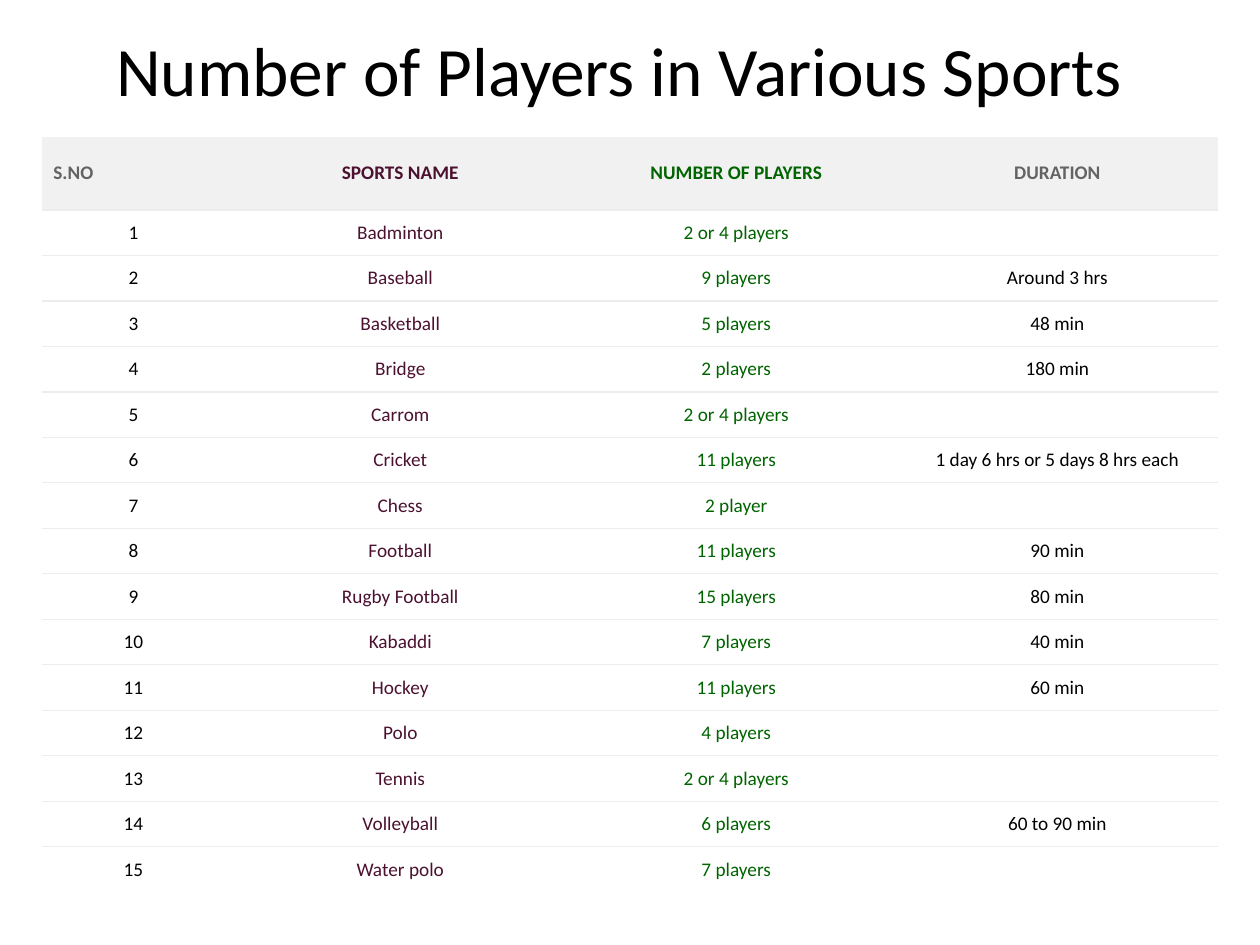
from dataclasses import dataclass

from lxml import etree
from pptx import Presentation
from pptx.dml.color import RGBColor
from pptx.enum import text
from pptx.oxml import ns
from pptx.util import Pt


@dataclass(frozen=True)
class Theme:
    font: str = "Calibri"
    title_size: float = 39.6
    table_size: float = 11
    black: str = "000000"
    grey: str = "636363"
    plum: str = "4C1130"
    green: str = "006400"
    rule: str = "EDEDED"
    header_fill: str = "F1F1F1"
    row_fill: str = "FFFFFF"


theme = Theme()


def format_run(run, size, color, bold=False):
    run.font.name = theme.font
    run.font.size = Pt(size)
    run.font.bold = bold
    run.font.color.rgb = RGBColor.from_string(color)


def set_borders(cell, sides_with_rule):
    """Rule the given sides (letters of LRTB) and clear the others."""
    properties = cell._tc.get_or_add_tcPr()
    for side in "LRTB":
        line = etree.SubElement(properties, ns.qn(f"a:ln{side}"), w=str(Pt(0.75)))
        if side in sides_with_rule:
            fill = etree.SubElement(line, ns.qn("a:solidFill"))
            etree.SubElement(fill, ns.qn("a:srgbClr"), val=theme.rule)
        else:
            etree.SubElement(line, ns.qn("a:noFill"))


headings = ("S.NO", "SPORTS NAME", "NUMBER OF PLAYERS", "DURATION")
sports = [
    ("Badminton", "2 or 4 players", ""),
    ("Baseball", "9 players", "Around 3 hrs"),
    ("Basketball", "5 players", "48 min"),
    ("Bridge", "2 players", "180 min"),
    ("Carrom", "2 or 4 players", ""),
    ("Cricket", "11 players", "1 day 6 hrs or 5 days 8 hrs each"),
    ("Chess", "2 player", ""),
    ("Football", "11 players", "90 min"),
    ("Rugby Football", "15 players", "80 min"),
    ("Kabaddi", "7 players", "40 min"),
    ("Hockey", "11 players", "60 min"),
    ("Polo", "4 players", ""),
    ("Tennis", "2 or 4 players", ""),
    ("Volleyball", "6 players", "60 to 90 min"),
    ("Water polo", "7 players", ""),
]
rows = [headings] + [(str(number), *sport) for number, sport in enumerate(sports, 1)]
column_widths = (104.5, 200.5, 183.5, 183.5)
header_height, row_height = 42, 26
heading_colors = (theme.grey, theme.plum, theme.green, theme.grey)
body_colors = (theme.black, theme.plum, theme.green, theme.black)

prs = Presentation()
prs.slide_width, prs.slide_height = Pt(720), Pt(540)
slide = prs.slides.add_slide(prs.slide_layouts[6])

# Title
title = slide.shapes.add_textbox(Pt(36), Pt(15.5), Pt(636), Pt(84)).text_frame
title.word_wrap = True
title.margin_top = title.margin_bottom = 0
title.vertical_anchor = text.MSO_ANCHOR.TOP
title.text = "Number of Players in Various Sports"
title.paragraphs[0].alignment = text.PP_ALIGN.CENTER
format_run(title.paragraphs[0].runs[0], theme.title_size, theme.black)

# Sports table
table = slide.shapes.add_table(
    len(rows), len(headings), Pt(24), Pt(78), Pt(sum(column_widths)),
    Pt(header_height + row_height * len(sports))).table
table.first_row = table.horz_banding = False
for column, width in zip(table.columns, column_widths):
    column.width = Pt(width)

for r, values in enumerate(rows):
    is_header = r == 0
    table.rows[r].height = Pt(header_height if is_header else row_height)
    colors = heading_colors if is_header else body_colors
    ruled_sides = "B" if is_header else "T" if r == len(sports) else "TB"
    for c, (value, color) in enumerate(zip(values, colors)):
        cell = table.cell(r, c)
        set_borders(cell, ruled_sides)
        cell.fill.solid()
        cell.fill.fore_color.rgb = RGBColor.from_string(
            theme.header_fill if is_header else theme.row_fill)
        cell.vertical_anchor = text.MSO_ANCHOR.MIDDLE
        cell.margin_left = cell.margin_right = Pt(6.5)
        # Empty cells get no vertical margin, so they cannot stretch their row
        cell.margin_top = cell.margin_bottom = Pt(3 if value else 0)
        if value:
            cell.text_frame.text = value
            paragraph = cell.text_frame.paragraphs[0]
            at_left = is_header and c == 0
            paragraph.alignment = text.PP_ALIGN.LEFT if at_left else text.PP_ALIGN.CENTER
            format_run(paragraph.runs[0], theme.table_size, color, bold=is_header)

prs.save("out.pptx")
